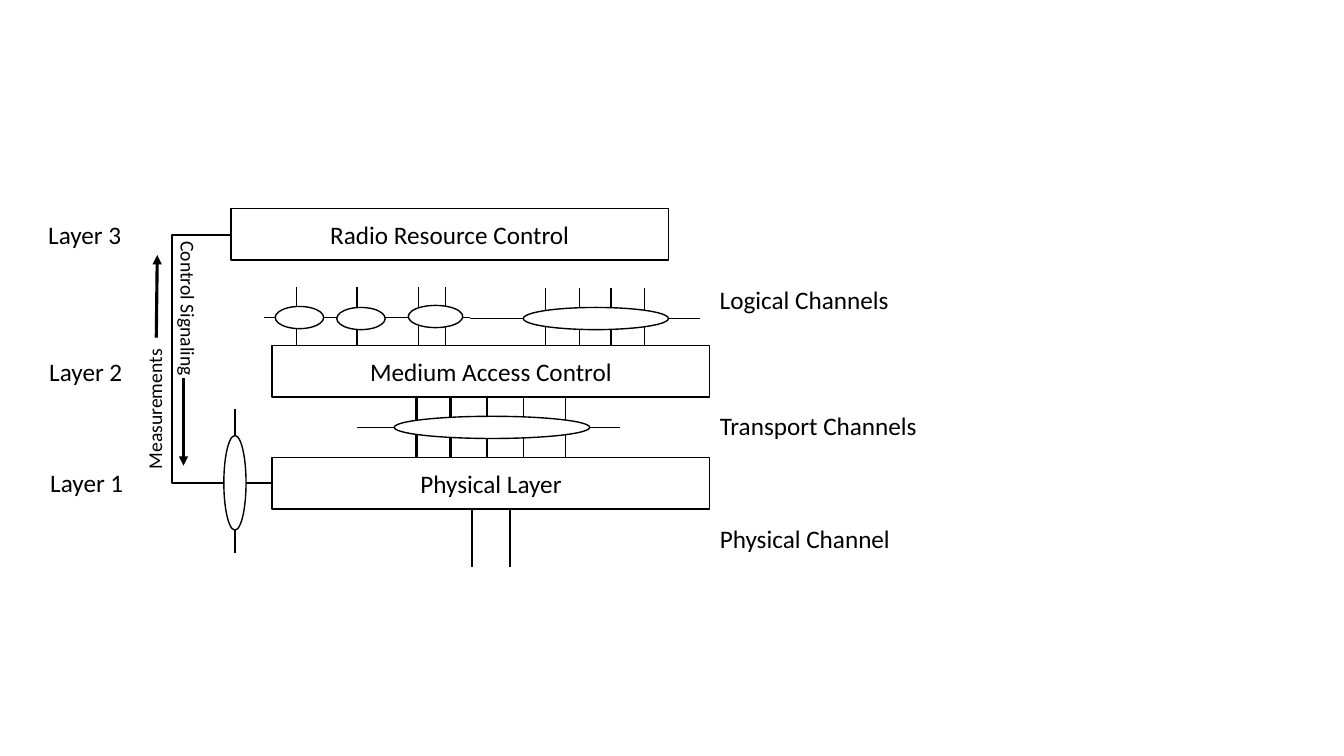
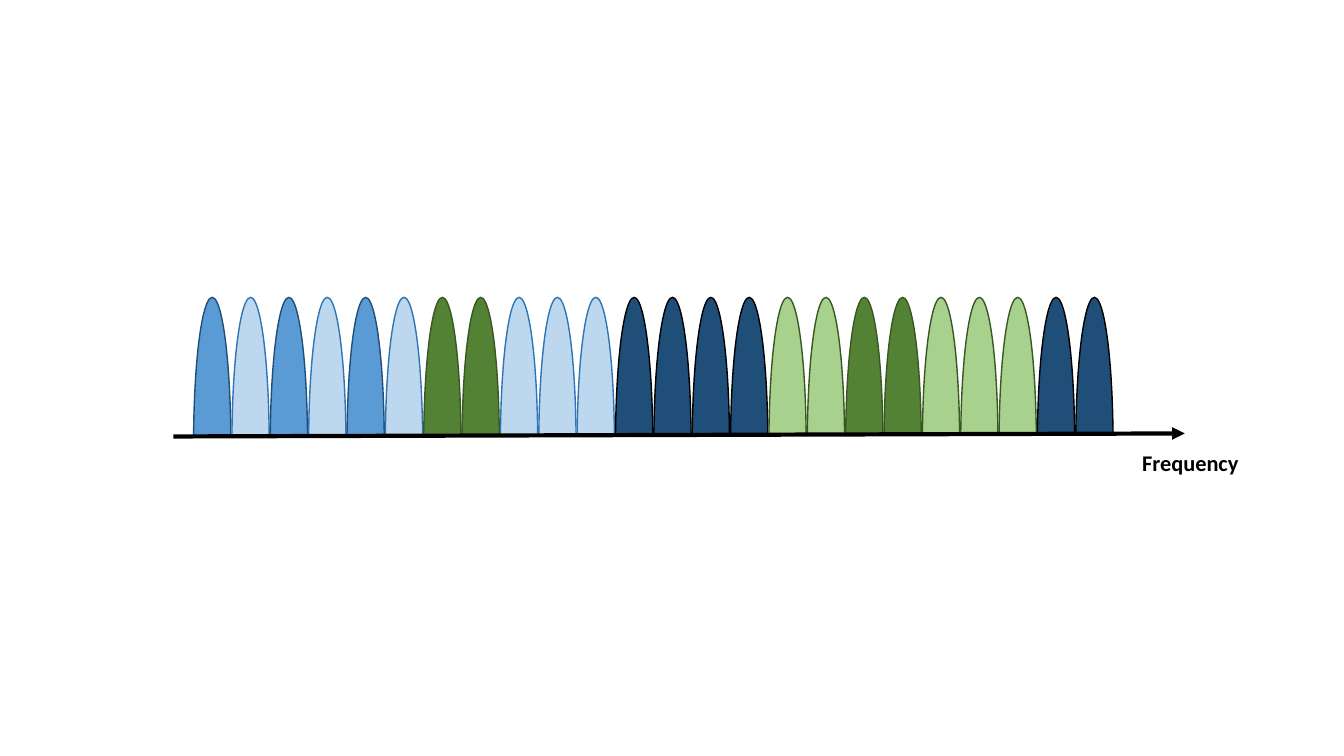
import lxml.etree
import pptx
import pptx.util
import pptx.dml.color
import pptx.enum.shapes
import pptx.enum.text
import pptx.oxml.ns

Inches = pptx.util.Inches
Pt = pptx.util.Pt
KINDS = pptx.enum.shapes.MSO_SHAPE
LINKS = pptx.enum.shapes.MSO_CONNECTOR
TEXT = pptx.enum.text

COLORS = {
    "black": "000000", "white": "FFFFFF", "navy": "1F4E79",
    "blue": "5B9BD5", "steel": "2E75B6", "sky": "BDD7EE",
    "green": "548235", "lime": "A9D18E", "moss": "385723",
}
PLAIN = {"size": Pt(18), "name": "Calibri", "bold": False}
SMALL = {**PLAIN, "size": Pt(14)}
STRONG = {**PLAIN, "size": Pt(16), "bold": True}
LABEL = {"auto_size": TEXT.MSO_AUTO_SIZE.SHAPE_TO_FIT_TEXT, "word_wrap": False}

BOXES = [
    ("Radio Resource Control", 2.29, 2.07),
    ("Medium Access Control", 2.7, 3.43),
    ("Physical Layer", 2.7, 4.54),
]
LABELS = [
    ("Layer 3", 0.38, 2.13, 0.94),
    ("Layer 2", 0.39, 3.49, 0.94),
    ("Layer 1", 0.4, 4.59, 0.94),
    ("Logical Channels", 7.04, 2.77, 1.9),
    ("Transport Channels", 7.04, 4.02, 2.18),
    ("Physical Channel", 7.04, 5.14, 1.91),
]
TURNED = [
    ("Control Signaling", 1.09, 2.9, 1.55, 90),
    ("Measurements", 0.83, 3.88, 1.41, 270),
]
STEMS = [
    (2.85, 0.58, 1, [2.94, 3.54, 4.15, 4.42]),
    (2.86, 0.58, 1, [5.41, 5.75, 6.06, 6.39]),
    (3.95, 0.58, 2, [4.13, 4.47]),
    (3.95, 0.58, 1, [4.83, 5.19, 5.61]),
    (5.05, 0.58, 1, [4.68, 5.06]),
    (4.06, 1.43, 1, [2.33]),
]
RAILS = [(2.62, 4.66, 3.15), (4.66, 6.94, 3.16), (3.54, 6.15, 4.24)]
RINGS = [
    (2.97, 3.15, 0.48, 0.22), (3.58, 3.16, 0.48, 0.22),
    (4.32, 3.14, 0.54, 0.22), (5.91, 3.16, 1.44, 0.22),
    (4.88, 4.24, 1.94, 0.22), (2.33, 4.79, 0.22, 0.94),
]
ARROWS = [(1.82, 3.75, 1.82, 4.62), (1.55, 3.35, 1.56, 2.53)]

EDGES = {"blue": "navy", "sky": "steel", "green": "moss",
         "lime": "moss", "navy": "black"}
RUNS = [("blue", 1), ("sky", 1)] * 3 + [
    ("green", 2), ("sky", 3), ("navy", 4), ("lime", 2),
    ("green", 2), ("lime", 3), ("navy", 2),
]
WAVES = [hue for hue, count in RUNS for _ in range(count)]
FIRST, LAST = 1.92, 10.67


def tint(name):
    return pptx.dml.color.RGBColor.from_string(COLORS[name])


def style(target, values):
    for key, value in values.items():
        setattr(target, key, value)


def add(parent, tag, **values):
    return lxml.etree.SubElement(parent, pptx.oxml.ns.qn(tag), values)


def write(shape, text, font, frame):
    style(shape.text_frame, frame)
    part = shape.text_frame.paragraphs[0]
    part.text = text
    style(part.font, font)
    part.font.color.rgb = tint("black")
    return part


def label(slide, text, box, font=PLAIN, turn=0, wrap=False):
    item = slide.shapes.add_textbox(*map(Inches, box))
    item.rotation = turn
    write(item, text, font, {**LABEL, "word_wrap": wrap})


def shape(slide, kind, box, fill="white", edge="black"):
    item = slide.shapes.add_shape(kind, *map(Inches, box))
    item.shadow.inherit = False
    item.fill.solid()
    item.fill.fore_color.rgb = tint(fill)
    item.line.color.rgb = tint(edge)
    item.line.width = Pt(1)
    return item


def link(slide, ends, width=1, arrow=False, kind=LINKS.STRAIGHT):
    item = slide.shapes.add_connector(kind, *map(Inches, ends))
    item.line.color.rgb = tint("black")
    item.line.width = Pt(width)
    props = item._element.spPr
    if arrow:
        add(props.find(pptx.oxml.ns.qn("a:ln")), "a:tailEnd", type="triangle")
    add(props, "a:effectLst")
    return item


def bracket(slide):
    item = link(slide, (2.29, 2.33, 2.7, 4.79), 1.5, kind=LINKS.ELBOW)
    props = item._element.spPr
    props.find(pptx.oxml.ns.qn("a:xfrm")).set("rot", "10800000")
    shell = props.find(pptx.oxml.ns.qn("a:prstGeom"))
    guides = shell.find(pptx.oxml.ns.qn("a:avLst"))
    add(guides, "a:gd", name="adj1", fmla="val 241600")


def draw_layers(slide):
    bracket(slide)
    for top, length, width, places in STEMS:
        for x in places:
            link(slide, (x, top, x, top + length), width)
    for left, right, y in RAILS:
        link(slide, (left, y, right, y))
    for x, y, wide, high in RINGS:
        shape(slide, KINDS.OVAL, (x - wide / 2, y - high / 2, wide, high))
    for text, left, top in BOXES:
        item = shape(slide, KINDS.RECTANGLE, (left, top, 4.34, 0.51))
        part = write(item, text, PLAIN,
                     {"vertical_anchor": TEXT.MSO_ANCHOR.MIDDLE})
        part.alignment = TEXT.PP_ALIGN.CENTER
    for text, left, top, wide in LABELS:
        label(slide, text, (left, top, wide, 0.4))
    for text, left, top, wide, turn in TURNED:
        label(slide, text, (left, top, wide, 0.34), SMALL, turn)
    for ends in ARROWS:
        link(slide, ends, 2.25, True)


def draw_waves(slide):
    step = (LAST - FIRST) / (len(WAVES) - 1)
    for place, hue in enumerate(WAVES):
        box = (FIRST + place * step, 2.95, 0.37, 2.92)
        shape(slide, KINDS.OVAL, box, hue, EDGES[hue])
    shape(slide, KINDS.RECTANGLE, (1.62, 4.33, 9.61, 2.46), edge="white")
    link(slide, (1.72, 4.33, 11.75, 4.3), 3, True)
    label(slide, "Frequency", (11.23, 4.41, 1.4, 0.37), STRONG, wrap=True)


def main():
    deck = pptx.Presentation()
    style(deck, {"slide_width": Inches(13.33), "slide_height": Inches(7.5)})
    for draw in (draw_layers, draw_waves):
        draw(deck.slides.add_slide(deck.slide_layouts[6]))
    deck.save("out.pptx")


if __name__ == "__main__":
    main()
